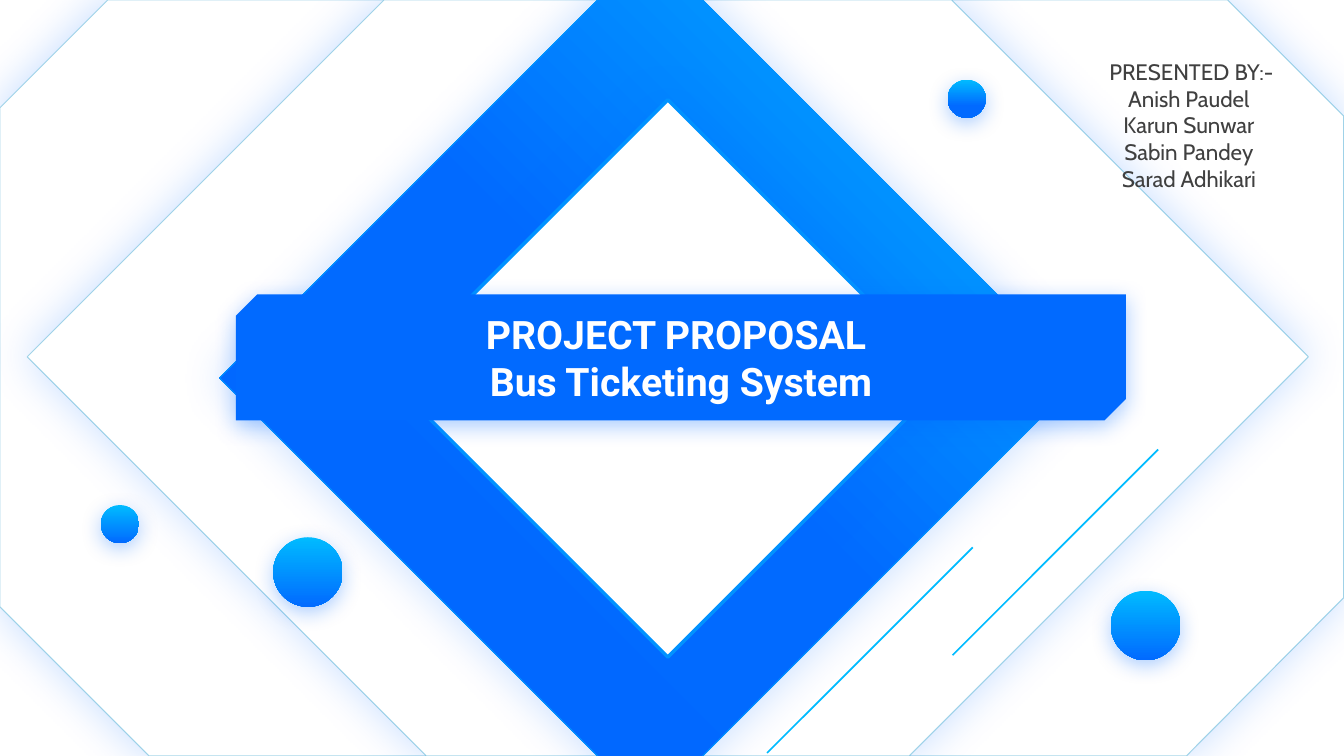
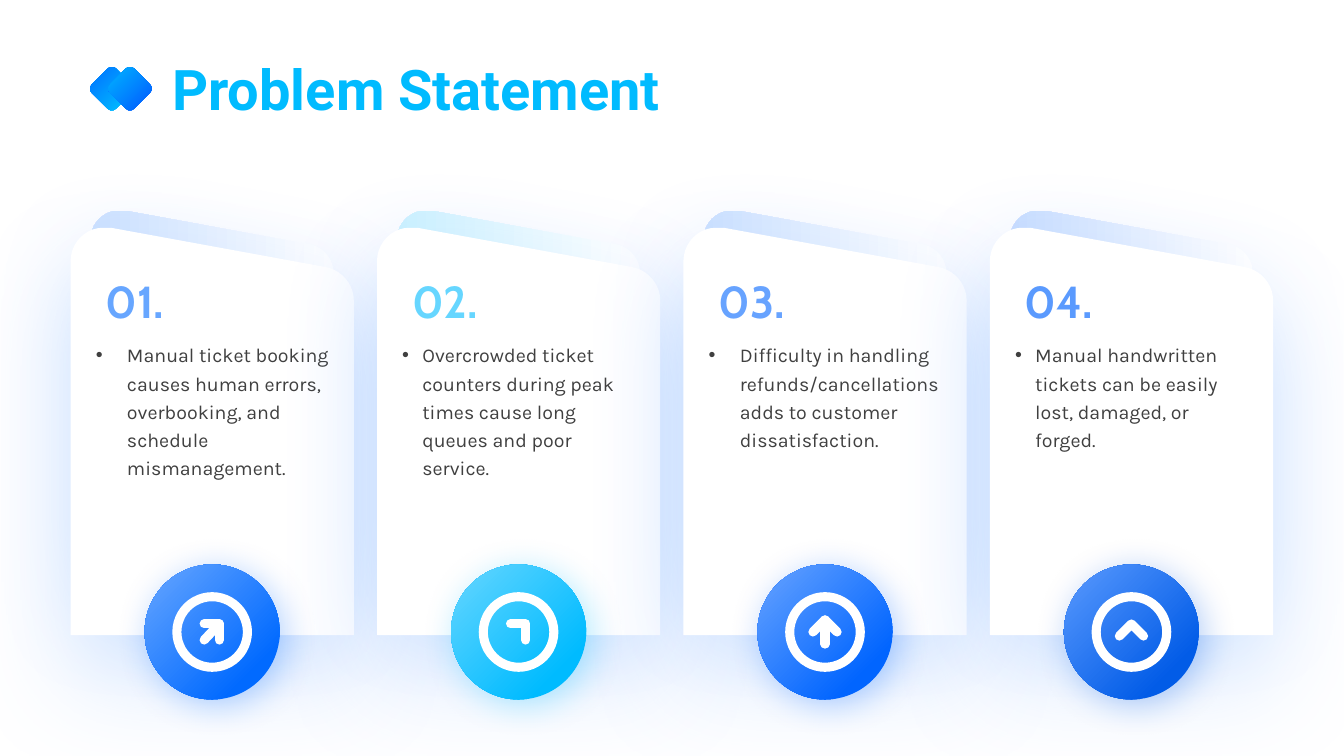
from lxml.etree import SubElement
from pptx import Presentation
from pptx.dml.color import RGBColor
from pptx.enum.shapes import MSO_CONNECTOR, MSO_SHAPE
from pptx.enum.text import MSO_ANCHOR, PP_ALIGN
from pptx.oxml.ns import qn
from pptx.util import Emu, Pt

PX = 9144

WHITE = RGBColor(0xFF, 0xFF, 0xFF)
INK = RGBColor(0x40, 0x40, 0x40)
BLUE = RGBColor(0x01, 0x6A, 0xFF)
DEEP_BLUE = RGBColor(0x01, 0x65, 0xFF)
NAVY = RGBColor(0x02, 0x5C, 0xE7)
EDGE_BLUE = RGBColor(0x01, 0x92, 0xFF)
PANEL_EDGE = RGBColor(0x00, 0x8C, 0xBF)
CYAN = RGBColor(0x00, 0xBB, 0xFF)
SKY = RGBColor(0x67, 0xA6, 0xFF)
SOFT_CYAN = RGBColor(0x66, 0xD6, 0xFF)
SOFT_BLUE = RGBColor(0x67, 0xA3, 0xFF)
SOFT_NAVY = RGBColor(0x5A, 0x9A, 0xFE)
PALE_BLUE = RGBColor(0xCC, 0xE1, 0xFF)
PALE_CYAN = RGBColor(0xCC, 0xF1, 0xFF)
PALE_NAVY = RGBColor(0xC8, 0xDD, 0xFF)

HEADING_FONT, LABEL_FONT, BODY_FONT = "Roboto", "Cabin", "Karla"

GLOW = (BLUE, 22, 33, 0, 0)
DROP = (BLUE, 32, 15, 4, 90)
CARD_SHADOW = (SKY, 24, 74, 34, 90)

PRESENTERS = ["PRESENTED BY:-", "Anish Paudel ", "Karun Sunwar ",
              "Sabin Pandey ", "Sarad Adhikari "]
BANNER_LINES = ["PROJECT PROPOSAL ", "Bus Ticketing System"]
PANELS = [
    [(107, 0), (1218, 0), (1333, 115), (1333, 593), (1177, 750),
     (148, 750), (0, 602), (0, 107)],
    [(381, 0), (944, 0), (1298, 354), (902, 750), (423, 750), (27, 354)],
]
DOTS = [(100, 501, 38, 100), (271, 533, 69, 100),
        (940, 79, 38, 69), (1102, 586, 69, 100)]
SLANTS = [(965, 543), (1149, 446)]
SLANT_SIZE = 204

CARDS = [
    dict(number="01.", indent=31, light=SKY, dark=BLUE, pale=PALE_BLUE,
         text="Manual ticket booking causes human errors, overbooking, "
              "and schedule mismanagement.",
         arrow=[[(7, 8), (7, -8), (-8, -8)], [(7, -8), (-8, 8)]]),
    dict(number="02.", indent=20, light=SOFT_CYAN, dark=CYAN, pale=PALE_CYAN,
         text="Overcrowded ticket counters during peak times cause long "
              "queues and poor service.",
         arrow=[[(7, 8), (7, -8), (-8, -8)]]),
    dict(number="03.", indent=31, light=SOFT_BLUE, dark=DEEP_BLUE, pale=PALE_BLUE,
         text="Difficulty in handling refunds/cancellations adds to "
              "customer dissatisfaction.",
         arrow=[[(-12, 0), (0, -12), (12, 0)], [(0, -12), (0, 12)]]),
    dict(number="04.", indent=20, light=SOFT_NAVY, dark=NAVY, pale=PALE_NAVY,
         text="Manual handwritten tickets can be easily lost, damaged, or forged.",
         arrow=[[(-12, 4), (0, -8), (12, 4)]]),
]
CARD_LEFT, CARD_TOP, CARD_STEP = 70, 226, 304
CARD_WIDTH, CARD_HEIGHT = 281, 404
BACK_SCALE = 241 / 281
BADGE_SIZE, RING_SIZE, BADGE_CENTER_Y = 134, 70, 627


def px(value):
    return Emu(round(value * PX))


def add_color(parent, color, alpha=None):
    node = SubElement(parent, qn("a:srgbClr"), val=str(color))
    if alpha is not None:
        SubElement(node, qn("a:alpha"), val=str(alpha * 1000))


def fill_gradient(shape, stops, angle):
    shape.fill.gradient()
    gradient = shape._element.spPr.find(qn("a:gradFill"))
    gradient.clear()
    gradient.set("rotWithShape", "1")
    stop_list = SubElement(gradient, qn("a:gsLst"))
    for position, color in stops:
        add_color(SubElement(stop_list, qn("a:gs"), pos=str(position * 1000)), color)
    if angle is None:
        circle = SubElement(gradient, qn("a:path"))
        circle.set("path", "circle")
        SubElement(circle, qn("a:fillToRect"), r="100000", b="100000")
    else:
        SubElement(gradient, qn("a:lin"), ang=str(angle * 60000), scaled="0")


def paint(shape, fill=None, angle=None, line=None, line_width=0.75,
          line_alpha=None, shadow=None, round_ends=False):
    shape.shadow.inherit = False
    if fill is None:
        shape.fill.background()
    elif isinstance(fill, list):
        fill_gradient(shape, fill, angle)
    else:
        shape.fill.solid()
        shape.fill.fore_color.rgb = fill
    if line is None:
        shape.line.fill.background()
    else:
        shape.line.color.rgb = line
        shape.line.width = Pt(line_width)
        outline = shape._element.spPr.find(qn("a:ln"))
        if line_alpha:
            SubElement(outline.find(".//" + qn("a:srgbClr")), qn("a:alpha"),
                       val=str(line_alpha * 1000))
        if round_ends:
            outline.set("cap", "rnd")
            SubElement(outline, qn("a:round"))
    if shadow:
        color, alpha, blur, distance, direction = shadow
        effects = shape._element.spPr.find(qn("a:effectLst"))
        outer = SubElement(effects, qn("a:outerShdw"), blurRad=str(Pt(blur)),
                           dist=str(Pt(distance)), dir=str(direction * 60000),
                           algn="ctr", rotWithShape="0")
        add_color(outer, color, alpha)
    return shape


def add_preset(slide, kind, left, top, width, height, rotation=0, **look):
    shape = slide.shapes.add_shape(kind, px(left), px(top), px(width), px(height))
    shape.rotation = rotation
    return paint(shape, **look)


def add_outline(slide, strokes, closed=True, **look):
    strokes = [[(px(x), px(y)) for x, y in stroke] for stroke in strokes]
    builder = slide.shapes.build_freeform(*strokes[0][0])
    for index, stroke in enumerate(strokes):
        if index:
            builder.move_to(*stroke[0])
        builder.add_line_segments(stroke[1:], close=closed)
    return paint(builder.convert_to_shape(), **look)


def write_text(frame, lines, font, size, color, bold=False, align=PP_ALIGN.LEFT,
               anchor=MSO_ANCHOR.TOP, inset=True, indent=0):
    frame.word_wrap = True
    frame.vertical_anchor = anchor
    if not inset:
        frame.margin_left = frame.margin_right = 0
        frame.margin_top = frame.margin_bottom = 0
    for index, line in enumerate(lines):
        paragraph = frame.add_paragraph() if index else frame.paragraphs[0]
        paragraph.alignment = align
        run = paragraph.add_run()
        run.text = line
        run.font.name, run.font.size, run.font.bold = font, Pt(size), bold
        run.font.color.rgb = color
        if indent:
            paragraph.line_spacing = 1.2
            paragraph.space_before = Pt(10)
            properties = paragraph._p.get_or_add_pPr()
            properties.set("marL", str(px(indent)))
            properties.set("indent", str(-px(indent)))
            SubElement(properties, qn("a:buFont"), typeface="Arial")
            SubElement(properties, qn("a:buChar"), char="•")


def add_text(slide, box, lines, **text_format):
    shape = slide.shapes.add_textbox(*(px(value) for value in box))
    write_text(shape.text_frame, lines, **text_format)


def curve(start, first, second, end, steps=10):
    def blend(t, a, b, c, d):
        u = 1 - t
        return u ** 3 * a + 3 * u * u * t * b + 3 * u * t * t * c + t ** 3 * d
    return [tuple(blend(step / steps, *axis) for axis in zip(start, first, second, end))
            for step in range(steps + 1)]


def card_outline(left, top, scale=1):
    points = (curve((32, 0), (35, 0), (37, 0), (40, 0), 2)
              + curve((253, 39), (269, 42), (281, 56), (281, 72))
              + [(CARD_WIDTH, CARD_HEIGHT), (0, CARD_HEIGHT)]
              + curve((0, 33), (0, 15), (15, 0), (32, 0))[:-1])
    return [[(left + x * scale, top + y * scale) for x, y in points]]


def add_slant(slide, right, top):
    line = slide.shapes.add_connector(
        MSO_CONNECTOR.STRAIGHT, px(right), px(top),
        px(right - SLANT_SIZE), px(top + SLANT_SIZE))
    line.line.color.rgb = CYAN
    line.line.width = Pt(1.25)
    SubElement(line._element.spPr, qn("a:effectLst"))


def build_cover(slide):
    for panel in PANELS:
        add_outline(slide, [panel], fill=WHITE, line=PANEL_EDGE,
                    line_alpha=35, shadow=GLOW)
    add_preset(slide, MSO_SHAPE.RECTANGLE, 343, 73, 604, 604, rotation=45,
               fill=[(0, CYAN), (50, BLUE), (100, DEEP_BLUE)], angle=90,
               line=EDGE_BLUE, shadow=GLOW)
    add_preset(slide, MSO_SHAPE.RECTANGLE, 467, 180, 391, 391, rotation=45,
               fill=WHITE, line=EDGE_BLUE, line_width=2.5, shadow=GLOW)
    add_text(slide, (1030, -21, 304, 290), PRESENTERS, font=LABEL_FONT, size=16,
             color=INK, align=PP_ALIGN.CENTER, anchor=MSO_ANCHOR.MIDDLE)
    banner = add_preset(slide, MSO_SHAPE.SNIP_2_DIAG_RECTANGLE, 234, 292, 883, 125,
                        fill=BLUE, shadow=DROP)
    banner.adjustments[0], banner.adjustments[1] = 0.17, 0
    write_text(banner.text_frame, BANNER_LINES, font=HEADING_FONT, size=28,
               color=WHITE, bold=True, align=PP_ALIGN.CENTER,
               anchor=MSO_ANCHOR.MIDDLE)
    for right, top in SLANTS:
        add_slant(slide, right, top)
    for left, top, size, last_stop in DOTS:
        add_preset(slide, MSO_SHAPE.OVAL, left, top, size, size,
                   fill=[(0, CYAN), (last_stop, BLUE)], angle=90, shadow=DROP)


def add_disc(slide, center_x, size, **look):
    add_preset(slide, MSO_SHAPE.OVAL, center_x - size / 2,
               BADGE_CENTER_Y - size / 2, size, size, **look)


def add_card(slide, left, card):
    add_outline(slide, card_outline(left + 20, CARD_TOP - 17, BACK_SCALE),
                fill=[(0, WHITE), (100, card["pale"])], angle=180, shadow=CARD_SHADOW)
    add_outline(slide, card_outline(left, CARD_TOP), fill=WHITE, shadow=CARD_SHADOW)
    center_x = left + CARD_WIDTH / 2
    add_disc(slide, center_x, BADGE_SIZE, fill=[(0, card["light"]), (80, card["dark"])],
             shadow=(card["dark"], 30, 25, 5, 45))
    add_text(slide, (left + 25, 267, 108, 64), [card["number"]], font=LABEL_FONT,
             size=32, color=card["light"], bold=True)
    add_text(slide, (left + 25, 336, 232, 226), [card["text"]], font=BODY_FONT,
             size=14, color=INK, inset=False, indent=card["indent"])
    add_disc(slide, center_x, RING_SIZE, line=WHITE, line_width=6.5)
    arrow = [[(center_x + x, BADGE_CENTER_Y + y) for x, y in stroke]
             for stroke in card["arrow"]]
    add_outline(slide, arrow, closed=False, line=WHITE, line_width=6.5,
                round_ends=True)


def build_problem(slide):
    for index, card in enumerate(CARDS):
        add_card(slide, CARD_LEFT + index * CARD_STEP, card)
    add_text(slide, (171, 54, 766, 67), ["Problem Statement"], font=HEADING_FONT,
             size=40, color=CYAN, bold=True, inset=False)
    for left, start, end in [(94, BLUE, CYAN), (112, CYAN, DEEP_BLUE)]:
        add_preset(slide, MSO_SHAPE.ROUNDED_RECTANGLE, left, 71, 34, 34, rotation=45,
                   fill=[(0, start), (83, end)])


def main():
    presentation = Presentation()
    presentation.slide_width, presentation.slide_height = Emu(12192000), px(750)
    for build in (build_cover, build_problem):
        build(presentation.slides.add_slide(presentation.slide_layouts[6]))
    presentation.save("out.pptx")


if __name__ == "__main__":
    main()
